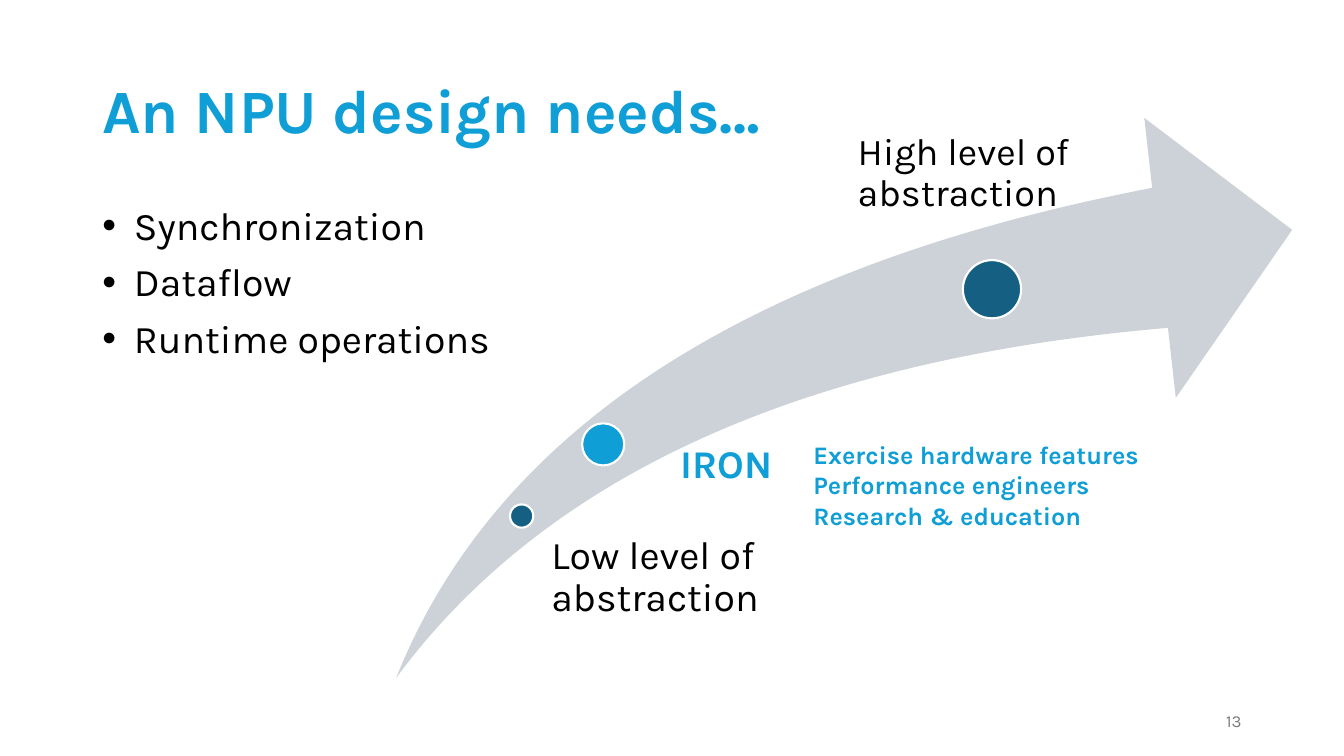
from pptx import Presentation
from pptx.dml.color import RGBColor
from pptx.enum.shapes import MSO_SHAPE
from pptx.enum.text import MSO_ANCHOR, MSO_AUTO_SIZE, PP_ALIGN
from pptx.util import Pt

SWOOSH, OVAL = MSO_SHAPE.SWOOSH_ARROW, MSO_SHAPE.OVAL
LEFT, RIGHT = PP_ALIGN.LEFT, PP_ALIGN.RIGHT
TOP, MIDDLE = MSO_ANCHOR.TOP, MSO_ANCHOR.MIDDLE
FIXED = MSO_AUTO_SIZE.NONE
FONT = "Karla"
BLACK, WHITE, GREY = "000000", "FFFFFF", "797979"
BLUE, TEAL, SILVER = "0F9ED5", "156082", "CCD2D8"

TITLE_BOX = (66, 28.8, 828, 104.4)
LIST_BOX = (66, 144, 828, 342.7)
ARROW_BOX = (283, 84.2, 640, 400)
PAGE_BOX = (678, 500.4, 216, 28.8)

NEEDS = ["Synchronization", "Dataflow", "Runtime operations"]
GAINS = ["Exercise hardware features", "Performance engineers",
         "Research & education"]
DOTS = [(0.14, 0.711, 0.026, TEAL), (0.231, 0.583, 0.047, BLUE),
        (0.665, 0.306, 0.065, TEAL)]
LEVELS = [("Low level of abstraction", (102.2, 298.1, 176.4, 115.9), 8.6, 28, BLACK, False),
          ("IRON", (187.2, 233.3, 97.2, 53.3), 15.8, 28, BLUE, True),
          ("High level of abstraction", (307.4, 10.8, 177.8, 91.4), 22.3, 27, BLACK, False)]
GAIN_BOX = (290.9, 226.1, 280, 72.7)


def color(code):
    """Turn a hex string into a colour."""
    return RGBColor.from_string(code)


def place(shape, box):
    """Move and size a shape to a box in points."""
    shape.left, shape.top, shape.width, shape.height = map(Pt, box)


def write(shape, lines, size, code, bold=False, align=LEFT, anchor=TOP,
          space=1.0, before=0):
    """Fill a shape with paragraphs in one style."""
    frame = shape.text_frame
    frame.text = "\n".join(lines)
    frame.word_wrap = True
    frame.auto_size = FIXED
    frame.vertical_anchor = anchor
    for para in frame.paragraphs:
        para.alignment = align
        para.line_spacing = space
        para.space_before = Pt(before)
        for run in para.runs:
            font = run.font
            font.name, font.size, font.bold = FONT, Pt(size), bold
            font.color.rgb = color(code)


def add_text(slide, box, lines, size, code, **style):
    """Add a text box and return its frame."""
    shape = slide.shapes.add_textbox(*map(Pt, box))
    write(shape, lines, size, code, **style)
    return shape.text_frame


def add_form(slide, kind, box, fill):
    """Add a flat filled shape without outline."""
    shape = slide.shapes.add_shape(kind, *map(Pt, box))
    shape.shadow.inherit = False
    shape.fill.solid()
    shape.fill.fore_color.rgb = color(fill)
    shape.line.fill.background()
    return shape


def add_title(slide, box):
    """Set the slide title."""
    title = slide.shapes.title
    place(title, box)
    write(title, ["An NPU design needs…"], 44, BLUE, bold=True,
          anchor=MIDDLE, space=0.9)


def add_list(slide, box):
    """Set the bulleted list of needs."""
    body = slide.placeholders[1]
    place(body, box)
    write(body, NEEDS, 28, BLACK, space=0.9, before=10)
    for para in body.text_frame.paragraphs:
        props = para._p.get_or_add_pPr()
        props.set("marL", str(Pt(22.5)))
        props.set("indent", str(Pt(-22.5)))


def add_arrow(slide, box):
    """Draw the rising arrow with its dots and labels."""
    left, top, width, height = box
    arrow = add_form(slide, SWOOSH, box, SILVER)
    arrow.adjustments[0] = arrow.adjustments[1] = 0.25
    for across, down, ratio, fill in DOTS:
        size = ratio * width
        dot = add_form(slide, OVAL, (left + across * width - size / 2,
                                     top + down * height - size / 2,
                                     size, size), fill)
        dot.line.color.rgb = color(WHITE)
        dot.line.width = Pt(1.5)
    for text, (x, y, w, h), inset, size, code, bold in LEVELS:
        frame = add_text(slide, (left + x, top + y, w, h), [text], size, code,
                         bold=bold, space=0.9)
        frame.margin_left = Pt(inset)
        frame.margin_top = frame.margin_right = frame.margin_bottom = 0
    x, y, w, h = GAIN_BOX
    add_text(slide, (left + x, top + y, w, h), GAINS, 18, BLUE, bold=True)


def add_page(slide, box):
    """Write the page number."""
    add_text(slide, box, ["13"], 12, GREY, align=RIGHT, anchor=MIDDLE)


def main():
    """Build and save the slide."""
    deck = Presentation()
    deck.slide_width, deck.slide_height = Pt(960), Pt(540)
    slide = deck.slides.add_slide(deck.slide_layouts[1])
    add_title(slide, TITLE_BOX)
    add_list(slide, LIST_BOX)
    add_page(slide, PAGE_BOX)
    add_arrow(slide, ARROW_BOX)
    deck.save("out.pptx")


if __name__ == "__main__":
    main()
